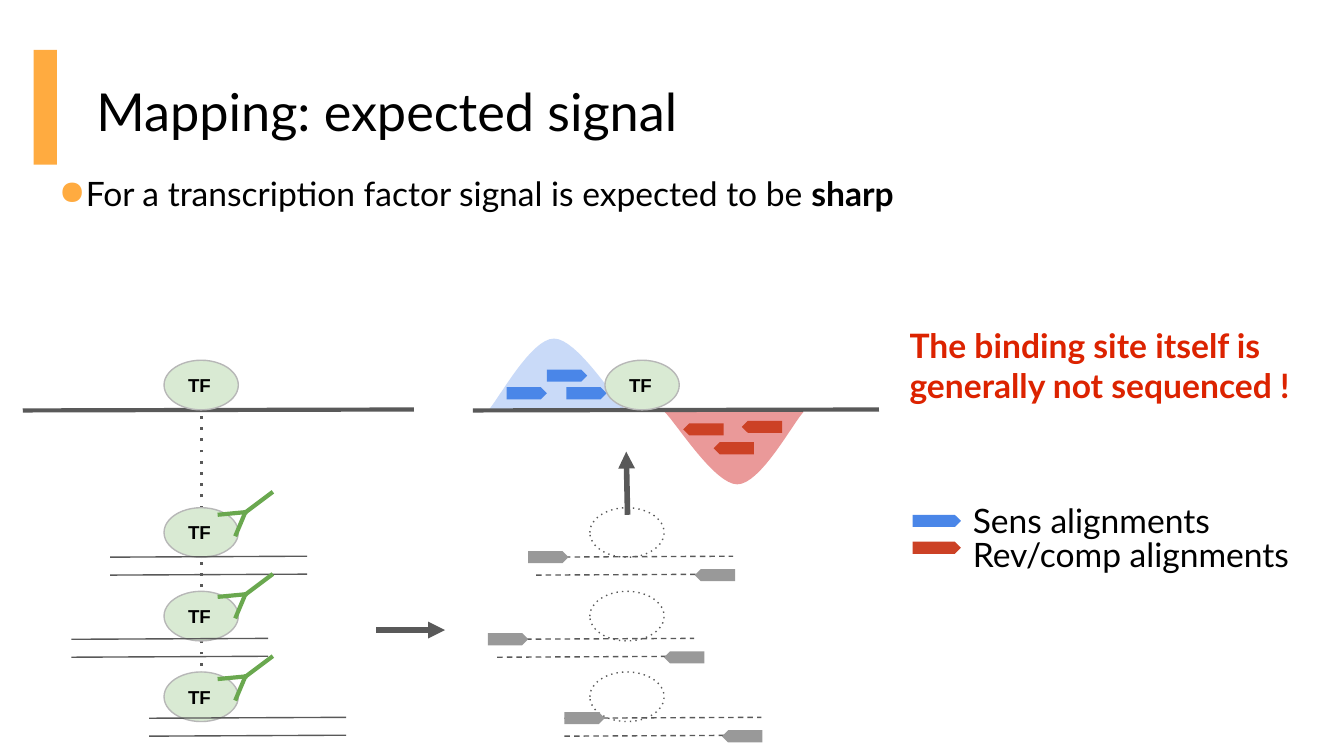
"""Build the slide on the expected mapping signal of a transcription factor."""
from dataclasses import dataclass

from lxml import etree
from pptx import Presentation
from pptx.dml.color import RGBColor
from pptx.enum.shapes import MSO_CONNECTOR, MSO_SHAPE
from pptx.enum.text import MSO_ANCHOR, PP_ALIGN
from pptx.oxml.ns import qn
from pptx.util import Pt

STRAIGHT = MSO_CONNECTOR.STRAIGHT
RECTANGLE, ELLIPSE, PLATE = MSO_SHAPE.RECTANGLE, MSO_SHAPE.OVAL, MSO_SHAPE.PENTAGON
TOP, MIDDLE = MSO_ANCHOR.TOP, MSO_ANCHOR.MIDDLE
LEFT = PP_ALIGN.LEFT


@dataclass(frozen=True)
class Theme:
    text_font: str = "Lato"
    label_font: str = "Arial"
    title_size: float = 28
    text_size: float = 18
    label_size: float = 10
    black: str = "000000"
    accent: str = "FFAB40"
    warning: str = "DC2300"
    strand: str = "595959"
    factor: str = "D9EAD3"
    factor_edge: str = "B7B7B7"
    antibody: str = "6AA84F"
    read: str = "999999"
    sens: str = "4A86E8"
    sens_signal: str = "C9DAF8"
    reverse: str = "CC4125"
    reverse_signal: str = "EA9999"


class SlideBuilder:
    def __init__(self, slide, theme):
        self.slide = slide
        self.theme = theme

    def style_line(self, shape, color, width, dash=None, arrow=False):
        shape.line.color.rgb = RGBColor.from_string(color)
        shape.line.width = Pt(width)
        outline = shape._element.spPr.find(qn("a:ln"))
        if dash:
            etree.SubElement(outline, qn("a:prstDash"), val=dash)
        if arrow:
            etree.SubElement(outline, qn("a:tailEnd"), type="triangle")

    def fill(self, shape, color):
        shape.shadow.inherit = False
        shape.fill.solid()
        shape.fill.fore_color.rgb = RGBColor.from_string(color)
        shape.line.fill.background()

    def style_font(self, paragraph, size, color, name, bold=False):
        paragraph.font.size = Pt(size)
        paragraph.font.name = name
        paragraph.font.bold = bold
        paragraph.font.color.rgb = RGBColor.from_string(color)

    def shape(self, kind, left, top, width, height, color):
        shape = self.slide.shapes.add_shape(kind, Pt(left), Pt(top), Pt(width), Pt(height))
        self.fill(shape, color)
        return shape

    def line(self, start, end, color, width, dash=None, arrow=False):
        connector = self.slide.shapes.add_connector(
            STRAIGHT, *(Pt(value) for value in (*start, *end)))
        self.style_line(connector, color, width, dash, arrow)
        etree.SubElement(connector._element.spPr, qn("a:effectLst"))

    def text(self, lines, left, top, width, height, size, color, bold=False, anchor=TOP):
        box = self.slide.shapes.add_textbox(Pt(left), Pt(top), Pt(width), Pt(height))
        frame = box.text_frame
        frame.word_wrap = True
        frame.vertical_anchor = anchor
        frame.margin_top = frame.margin_bottom = Pt(7.2)
        frame.text = "\n".join(lines)
        for paragraph in frame.paragraphs:
            self.style_font(paragraph, size, color, self.theme.text_font, bold)
        return frame

    def bullet(self, plain, strong, left, top, width, height):
        theme = self.theme
        frame = self.text([plain], left, top, width, height, theme.text_size, theme.black)
        frame.margin_top = frame.margin_bottom = Pt(3.6)
        paragraph = frame.paragraphs[0]
        run = paragraph.add_run()
        run.text = strong
        run.font.bold = True
        paragraph.line_spacing = 0.95
        properties = paragraph._p.get_or_add_pPr()
        properties.set("marL", str(Pt(14.4)))
        properties.set("indent", str(Pt(-15.1)))
        character = etree.Element(qn("a:buChar"), char="●")
        properties.find(qn("a:lnSpc")).addnext(character)
        bullet_color = etree.Element(qn("a:buClr"))
        etree.SubElement(bullet_color, qn("a:srgbClr"), val=theme.accent)
        character.addprevious(bullet_color)

    def factor(self, left, top):
        theme = self.theme
        shape = self.shape(ELLIPSE, left, top, 39.8, 26.6, theme.factor)
        self.style_line(shape, theme.factor_edge, 0.75)
        frame = shape.text_frame
        frame.margin_left = frame.margin_right = Pt(7.2)
        frame.margin_top = frame.margin_bottom = Pt(7.2)
        frame.vertical_anchor = MIDDLE
        frame.text = "TF"
        frame.paragraphs[0].alignment = LEFT
        self.style_font(frame.paragraphs[0], theme.label_size, theme.black, theme.label_font, True)

    def removed_factor(self, left, top):
        shape = self.shape(ELLIPSE, left, top, 39.8, 26.6, self.theme.factor)
        shape.fill.background()
        self.style_line(shape, self.theme.strand, 0.75, "dot")

    def strands(self, left, top, dash=None):
        for y in (top, top + 9.6):
            self.line((left, y), (left + 105.5, y - 0.5), self.theme.strand, 0.75, dash)

    def read(self, left, top, color, reverse=False, width=21.6):
        shape = self.shape(PLATE, left, top, width, 6.5, color)
        shape.rotation = 180 if reverse else 0

    def antibody(self, top):
        for start, end in (((116.6, 12.3), (132.5, 10.8)),
                           ((126, 23.8), (131.8, 10.1)),
                           ((131.8, 10.8), (146.2, 0))):
            self.line((start[0], top + start[1]), (end[0], top + end[1]),
                      self.theme.antibody, 2.25)

    def signal(self, x, y, direction, color):
        curves = (((0, 0), (6, 6.5), (23, 38.7), (35.4, 38.7)),
                  ((35.4, 38.7), (47.6, 38.7), (67.7, 6.5), (74.2, 0)))
        points = []
        for curve in curves:
            for step in range(17):
                t = step / 16
                weights = ((1 - t) ** 3, 3 * t * (1 - t) ** 2, 3 * t * t * (1 - t), t ** 3)
                across, up = (sum(w * point[axis] for w, point in zip(weights, curve))
                              for axis in (0, 1))
                points.append((Pt(x + direction * across), Pt(y - direction * up)))
        builder = self.slide.shapes.build_freeform(*points[0])
        builder.add_line_segments(points[1:])
        self.fill(builder.convert_to_shape(), color)


def main():
    presentation = Presentation()
    presentation.slide_width, presentation.slide_height = Pt(720), Pt(405)
    slide = presentation.slides.add_slide(presentation.slide_layouts[6])
    theme = Theme()
    builder = SlideBuilder(slide, theme)

    builder.shape(RECTANGLE, 18, 26.8, 12.5, 61.5, theme.accent)
    builder.text(["Mapping: expected signal"], 44.6, 35.3, 671, 45.4,
                 theme.title_size, theme.black)
    builder.bullet("For a transcription factor signal is expected to be ", "sharp",
                   24.5, 90.7, 506, 82)

    builder.signal(430.4, 220.8, -1, theme.reverse_signal)
    builder.signal(261.4, 220.1, 1, theme.sens_signal)
    builder.line((107.8, 386.6), (107.8, 219.6), theme.strand, 1.5, "dot")
    for left, right in ((12.2, 221.8), (253.4, 470.9)):
        builder.line((left, 219.9), (right, 219.4), theme.strand, 2.25)
    builder.factor(87.9, 193)

    fragments = ((272, 298.5, 59, 287.2, 283, 372.2),
                 (316.8, 342.5, 38.2, 266.4, 261.4, 355.7),
                 (360, 384.8, 79.9, 302.4, 302.4, 386.8))
    for row, (top, strand, bound, freed, sens, reverse) in enumerate(fragments):
        builder.factor(87.9, top)
        builder.strands(bound, strand)
        builder.antibody(263.5 + 44 * row)
        builder.removed_factor(316, top)
        builder.strands(freed, strand, "dash")
        builder.read(sens, strand - 3.3, theme.read)
        builder.read(reverse, strand + 6.4, theme.read, True)

    for start, end in (((201.6, 337.6), (238.4, 337.6)), ((336.2, 275.8), (335.5, 242))):
        builder.line(start, end, theme.strand, 3, arrow=True)
    for left, top in ((293, 198), (271.4, 207.4), (303.4, 207.4)):
        builder.read(left, top, theme.sens)
    for left, top in ((382.3, 236.9), (366, 226.8), (397.4, 225.4)):
        builder.read(left, top, theme.reverse, True)
    builder.factor(324.1, 193)

    builder.text(["The binding site itself is", "generally not sequenced !"],
                 480.2, 172.8, 218.2, 45.4, theme.text_size, theme.warning, True, MIDDLE)
    legend = (("Sens alignments", theme.sens, 275.8, 260.6),
              ("Rev/comp alignments", theme.reverse, 290.2, 278.6))
    for label, color, read_top, text_top in legend:
        builder.read(488.9, read_top, color, width=25.9)
        builder.text([label], 514.1, text_top, 192.2, 28, theme.text_size, theme.black)

    presentation.save("out.pptx")


if __name__ == "__main__":
    main()
